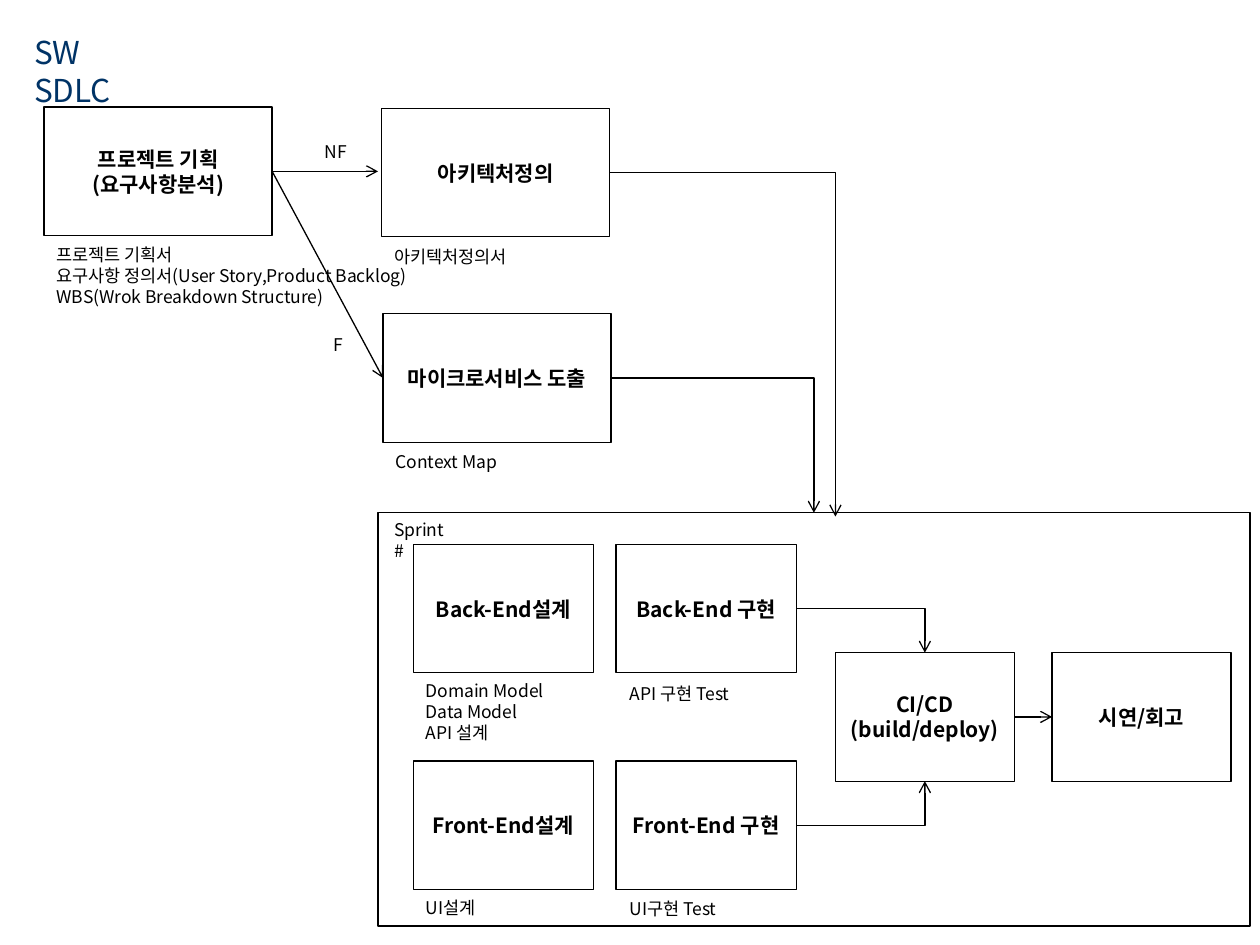
from lxml.etree import SubElement
from pptx import Presentation
from pptx.dml.color import RGBColor
from pptx.enum.shapes import MSO_CONNECTOR as Connector, MSO_SHAPE as Shape
from pptx.enum.text import MSO_ANCHOR as Anchor, MSO_AUTO_SIZE as AutoSize, PP_ALIGN as Align
from pptx.oxml.ns import qn
from pptx.util import Inches, Pt

COLORS = {"ink": "000000", "title": "003366"}
TOP, LEFT, BOTTOM, RIGHT = range(4)
BOX_HEIGHT = 1.02


def rgb(name):
    return RGBColor.from_string(COLORS[name])


class Diagram:
    """Holds the style and the current slide."""
    font = "Noto Sans CJK KR"
    line_width = Pt(0.75)
    box_format = {"size": Pt(12), "bold": True}
    label_format = {"size": Pt(10), "bold": False}
    title_format = {"size": Pt(18), "bold": False}
    free_frame = {"word_wrap": False, "auto_size": AutoSize.SHAPE_TO_FIT_TEXT,
                  "vertical_anchor": Anchor.TOP}
    box_frame = {"word_wrap": True, "vertical_anchor": Anchor.MIDDLE}

    def __init__(self, slide):
        self.slide = slide

    def fill_text(self, frame, lines, frame_format, font_format, color="ink", align=Align.LEFT):
        for key, value in frame_format.items():
            setattr(frame, key, value)
        for index, line in enumerate(lines):
            paragraph = frame.add_paragraph() if index else frame.paragraphs[0]
            paragraph.alignment = align
            run = paragraph.add_run()
            run.text = line
            for key, value in {"name": self.font, **font_format}.items():
                setattr(run.font, key, value)
            run.font.color.rgb = rgb(color)
            # Korean glyphs take their face from a:ea
            SubElement(run._r.get_or_add_rPr(), qn("a:ea"), typeface=self.font)

    def outline(self, line):
        line.color.rgb = rgb("ink")
        line.width = self.line_width

    def title(self, text, left, top, width, height):
        title = self.slide.shapes.title
        title.left, title.top, title.width, title.height = map(
            Inches, (left, top, width, height))
        self.fill_text(title.text_frame, [text], self.free_frame, self.title_format, "title")

    def box(self, left, top, width, *lines, height=BOX_HEIGHT):
        box = self.slide.shapes.add_shape(
            Shape.RECTANGLE, *map(Inches, (left, top, width, height)))
        box.shadow.inherit = False
        box.fill.background()
        self.outline(box.line)
        self.fill_text(box.text_frame, lines, self.box_frame, self.box_format,
                       align=Align.CENTER)
        return box

    def label(self, left, top, width, *lines):
        height = 0.1 + 0.17 * len(lines)
        label = self.slide.shapes.add_textbox(*map(Inches, (left, top, width, height)))
        self.fill_text(label.text_frame, lines, self.free_frame, self.label_format)

    def arrow(self, start, end, source=None, target=None, bent=False):
        """Draw an arrow; source and target are (box, side) pairs to join."""
        kind = Connector.ELBOW if bent else Connector.STRAIGHT
        arrow = self.slide.shapes.add_connector(kind, *map(Inches, (*start, *end)))
        if source:
            arrow.begin_connect(*source)
        if target:
            arrow.end_connect(*target)
        self.outline(arrow.line)
        properties = arrow._element.spPr
        if bent:
            properties.find(qn("a:prstGeom")).set("prst", "bentConnector2")
        SubElement(properties.find(qn("a:ln")), qn("a:tailEnd"), type="arrow")
        SubElement(properties, qn("a:effectLst"))


def main():
    deck = Presentation()
    deck.slide_width, deck.slide_height = Inches(10), Inches(7.5)
    diagram = Diagram(deck.slides.add_slide(deck.slide_layouts[5]))
    diagram.title("SW SDLC", 0.17, 0.21, 1.23, 0.4)

    # Planning and definition
    planning = diagram.box(0.35, 0.85, 1.81, "프로젝트 기획", "(요구사항분석)")
    architecture = diagram.box(3.03, 0.86, 1.81, "아키텍처정의")
    microservices = diagram.box(3.04, 2.49, 1.81, "마이크로서비스 도출")
    diagram.label(0.35, 1.89, 3.05, "프로젝트 기획서",
                  "요구사항 정의서(User Story,Product Backlog)",
                  "WBS(Wrok Breakdown Structure)")
    diagram.label(3.03, 1.9, 1.18, "아키텍처정의서")
    diagram.label(3.04, 3.53, 1.03, "Context Map")
    diagram.label(2.48, 1.07, 0.38, "NF")
    diagram.label(2.55, 2.6, 0.27, "F")

    # Sprint: design and build columns, back-end and front-end rows
    sprint = diagram.box(3, 4.07, 6.92, height=3.28)
    diagram.label(3.03, 4.07, 0.66, "Sprint#")
    builds = []
    for layer, top in (("Back-End", 4.32), ("Front-End", 6.04)):
        diagram.box(3.28, top, 1.43, f"{layer}설계")
        builds.append(diagram.box(4.89, top, 1.43, f"{layer} 구현"))
    diagram.label(3.28, 5.35, 1.15, "Domain Model", "Data Model", "API 설계")
    diagram.label(4.9, 5.37, 1.05, "API 구현 Test")
    diagram.label(3.28, 7.07, 0.62, "UI설계")
    diagram.label(4.9, 7.08, 0.93, "UI구현 Test")
    delivery = diagram.box(6.63, 5.18, 1.42, "CI/CD", "(build/deploy)")
    review = diagram.box(8.35, 5.18, 1.42, "시연/회고")

    # Flow
    diagram.arrow((2.17, 1.36), (3, 1.36), (planning, RIGHT))
    diagram.arrow((2.17, 1.36), (3.04, 3.01), (planning, RIGHT), (microservices, LEFT))
    diagram.arrow((4.84, 1.38), (6.63, 4.1), (architecture, RIGHT), bent=True)
    diagram.arrow((4.85, 3.01), (6.45, 4.07), (microservices, RIGHT), (sprint, TOP), bent=True)
    for build, start_y, end_y, side in zip(builds, (4.84, 6.55), (5.18, 6.2), (TOP, BOTTOM)):
        diagram.arrow((6.32, start_y), (7.34, end_y), (build, RIGHT), (delivery, side), bent=True)
    diagram.arrow((8.05, 5.69), (8.35, 5.69), (delivery, RIGHT), (review, LEFT))

    deck.save("out.pptx")


if __name__ == "__main__":
    main()
